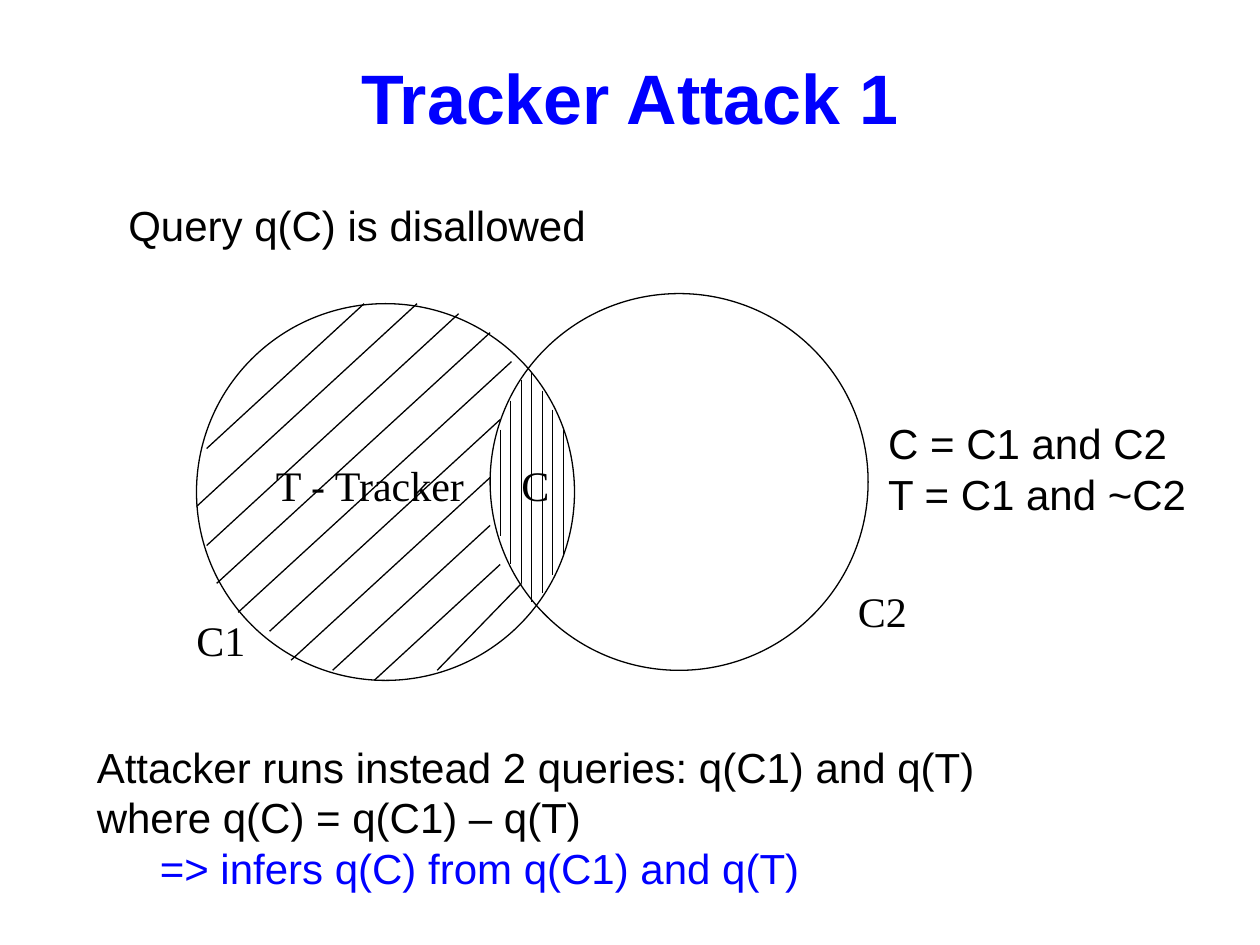
from lxml import etree
from pptx import Presentation
from pptx import util as u
from pptx.dml.color import RGBColor
from pptx.enum import shapes, text
from pptx.oxml.ns import qn

BLACK = RGBColor(0, 0, 0)
BLUE = RGBColor(0, 0, 255)
SANS = "Arial"
SERIF = "Times New Roman"


class Page:
    size = u.Pt(24)
    thin = u.Pt(0.75)

    def __init__(self, deck):
        self.slide = deck.slides.add_slide(deck.slide_layouts[6])

    def label(self, words, x, y, w, h, font=SERIF, wrap=False, pitch=None):
        box = self.slide.shapes.add_textbox(*map(u.Inches, (x, y, w, h)))
        frame = box.text_frame
        frame.text = words
        frame.word_wrap = wrap
        for line in frame.paragraphs:
            line.line_spacing = pitch
            for run in line.runs:
                run.font.name = font
                run.font.size = self.size
                run.font.color.rgb = BLACK
        return frame

    def body(self, words, x, y, w, h, wrap=True):
        return self.label(words, x, y, w, h, SANS, wrap, u.Pt(29))

    def title(self, words, x, y, w, h):
        frame = self.label(words, x, y, w, h, SANS, True)
        frame.margin_top = u.Inches(0.1)
        line = frame.paragraphs[0]
        line.alignment = text.PP_ALIGN.CENTER
        font = line.runs[0].font
        font.size = u.Pt(40)
        font.bold = True
        font.color.rgb = BLUE

    def ring(self, x, y, w, h):
        oval = self.slide.shapes.add_shape(
            shapes.MSO_SHAPE.OVAL, *map(u.Inches, (x, y, w, h)))
        oval.shadow.inherit = False
        oval.fill.background()
        oval.line.color.rgb = BLACK
        oval.line.width = self.thin

    def line(self, *ends):
        rule = self.slide.shapes.add_connector(
            shapes.MSO_CONNECTOR.STRAIGHT, *map(u.Inches, ends))
        rule.line.color.rgb = BLACK
        rule.line.width = self.thin
        etree.SubElement(rule._element.spPr, qn("a:effectLst"))


SLANTS = [
    (2.89, 2.41, 1.64, 3.56),
    (3.31, 2.41, 1.56, 4.02),
    (3.64, 2.49, 1.64, 4.33),
    (3.89, 2.64, 1.72, 4.63),
    (4.06, 2.87, 1.89, 4.86),
    (3.97, 3.33, 2.14, 5.01),
    (3.89, 3.79, 2.31, 5.24),
    (3.89, 4.17, 2.64, 5.32),
    (3.97, 4.48, 2.97, 5.4),
    (4.14, 4.63, 3.47, 5.32),
]
SPANS = [(3.41, 4.25), (3.18, 4.48), (3.02, 4.63), (2.95, 4.78),
         (3.1, 4.71), (3.25, 4.56), (3.41, 4.4)]


def main():
    deck = Presentation()
    deck.slide_width = u.Inches(10)
    deck.slide_height = u.Inches(7.5)
    page = Page(deck)

    page.title("Tracker Attack 1", 0.5, 0.33, 9, 0.66)
    page.ring(1.56, 2.41, 3, 2.99)
    page.ring(3.89, 2.33, 3, 2.99)
    page.label("T - Tracker", 2.09, 3.6, 1.72, 0.46)
    for slant in SLANTS:
        page.line(*slant)
    for i, (top, end) in enumerate(SPANS):
        x = 3.97 + i / 12
        page.line(x, top, x, end)
    page.label("C", 4.04, 3.6, 0.42, 0.46)
    page.label("C1", 1.46, 4.83, 0.59, 0.46)
    page.label("C2", 6.71, 4.6, 0.59, 0.46)

    page.body("C = C1 and C2\nT = C1 and ~C2", 6.95, 3.26, 2.61, 0.9, False)
    frame = page.body(
        "Attacker runs instead 2 queries: q(C1) and q(T)\n"
        "where q(C) = q(C1) – q(T)\n"
        "\t=> infers q(C) from q(C1) and q(T)", 0.67, 5.83, 8.8, 1.31)
    frame.paragraphs[0].alignment = text.PP_ALIGN.JUSTIFY
    frame.paragraphs[2].runs[0].font.color.rgb = BLUE
    page.body("Query q(C) is disallowed", 0.92, 1.53, 5.56, 0.5)

    deck.save("out.pptx")


if __name__ == "__main__":
    main()
